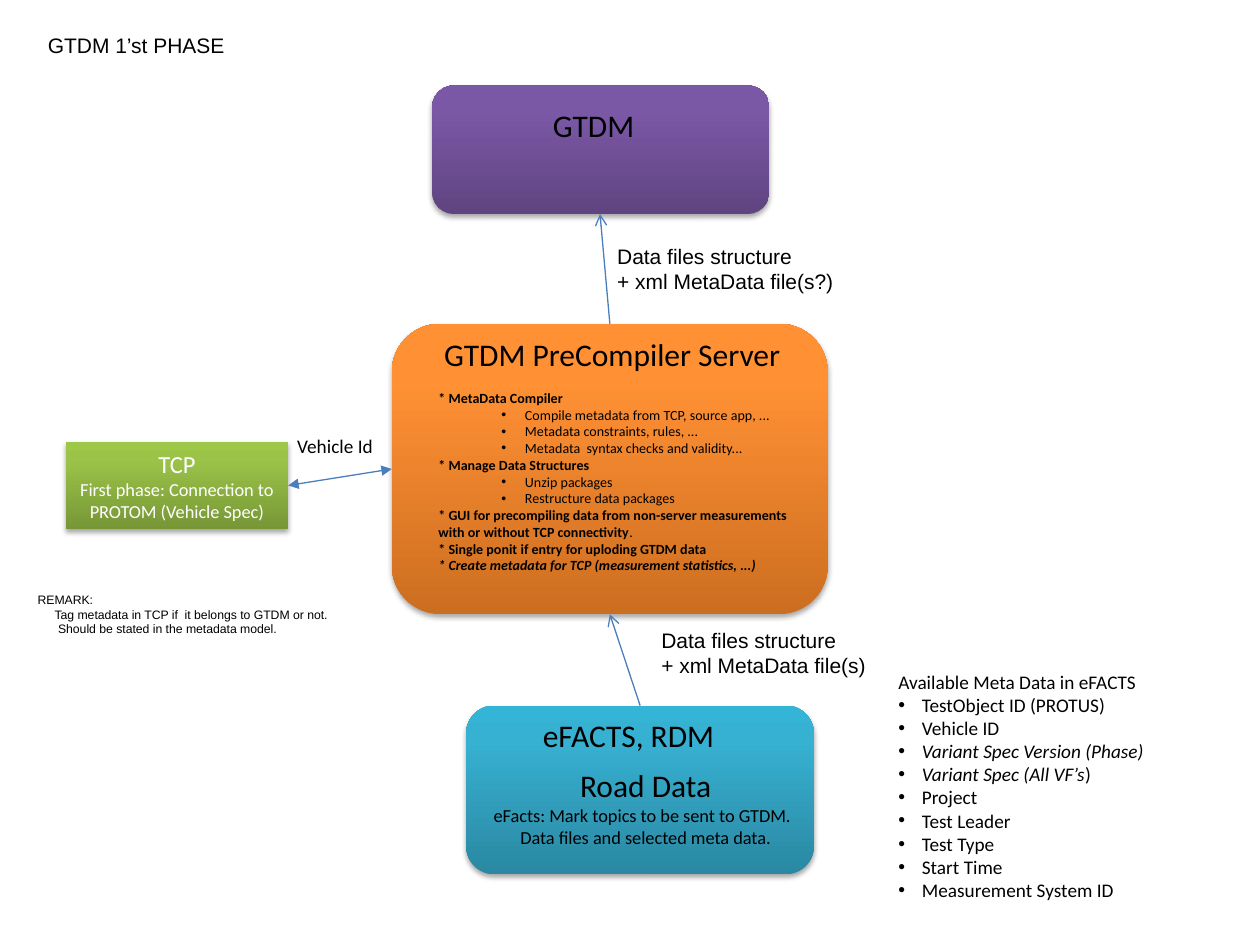
from lxml import etree
from pptx import Presentation
from pptx.dml.color import RGBColor
from pptx.enum.shapes import MSO_CONNECTOR, MSO_SHAPE
from pptx.enum.text import MSO_ANCHOR, MSO_AUTO_SIZE, PP_ALIGN
from pptx.oxml import parse_xml
from pptx.oxml.ns import qn
from pptx.util import Pt

RECT, ROUND = MSO_SHAPE.RECTANGLE, MSO_SHAPE.ROUNDED_RECTANGLE
STRAIGHT = MSO_CONNECTOR.STRAIGHT
LEFT, MID = PP_ALIGN.LEFT, PP_ALIGN.CENTER
NS = 'xmlns:a="http://schemas.openxmlformats.org/drawingml/2006/main"'

# Paragraph kinds: alignment, left margin, first-line indent, bullet
KINDS = {
    "left": (LEFT, 0, 0, False),
    "mid": (MID, 0, 0, False),
    "item": (LEFT, 13.5, -13.5, True),
    "sub": (LEFT, 49.5, -13.5, True),
    "note": (LEFT, 9.7, 0, False),
    "deep": (LEFT, 11.7, 0, False),
}


def write(frame, face, hue, paras):
    """Fill a frame from (kind, size, (text, style), ...); style has b and i."""
    for n, (kind, size, *runs) in enumerate(paras):
        para = frame.paragraphs[0] if n == 0 else frame.add_paragraph()
        align, left, first, dot = KINDS[kind]
        para.alignment = align
        if left:
            props = para._p.get_or_add_pPr()
            props.set("marL", str(Pt(left)))
            props.set("indent", str(Pt(first)))
            if dot:
                etree.SubElement(props, qn("a:buFont")).set("typeface", "Arial")
                etree.SubElement(props, qn("a:buChar")).set("char", "•")
        for text, style in runs:
            run = para.add_run()
            run.text = text
            font = run.font
            font.name, font.size = face, Pt(size)
            font.bold, font.italic = "b" in style, "i" in style
            font.color.rgb = RGBColor.from_string(hue)


deck = Presentation()
deck.slide_width, deck.slide_height = Pt(720), Pt(540)
slide = deck.slides.add_slide(deck.slide_layouts[6])
shapes = slide.shapes

# System boxes: form, place, gradient from bottom to top
boxes = {
    "road": (ROUND, (266.4, 403.2, 198.7, 96.5), ("2A88A2", "37B1D2", "34B4D6")),
    "server": (ROUND, (223.9, 185, 249.1, 166), ("CC6E20", "FF9034", "FF9136")),
    "tcp": (RECT, (37.6, 252.6, 127.1, 49.6), ("779737", "9BC348", "9DC746")),
    "gtdm": (ROUND, (247, 48.8, 192.6, 73.5), ("5F4480", "7B58A6", "7C57A8")),
}
made = {}
for name, (form, place, hues) in boxes.items():
    box = made[name] = shapes.add_shape(form, *map(Pt, place))
    box.line.fill.background()
    stops = "".join(
        f'<a:gs pos="{pos}000"><a:srgbClr val="{hue}"/></a:gs>'
        for pos, hue in zip((0, 80, 100), hues))
    props = box._element.spPr
    props.find(qn("a:ln")).addprevious(parse_xml(
        f'<a:gradFill {NS} rotWithShape="1"><a:gsLst>{stops}</a:gsLst>'
        '<a:lin ang="16200000" scaled="0"/></a:gradFill>'))
    props.append(parse_xml(
        f'<a:effectLst {NS}><a:outerShdw blurRad="{Pt(3.1)}" dist="{Pt(1.8)}" '
        'dir="5400000" rotWithShape="0"><a:srgbClr val="000000">'
        '<a:alpha val="35000"/></a:srgbClr></a:outerShdw></a:effectLst>'))

frame = made["tcp"].text_frame
frame.word_wrap = False
frame.vertical_anchor = MSO_ANCHOR.MIDDLE
write(frame, "Calibri", "FFFFFF", [
    ("mid", 14, ("TCP", "")),
    ("mid", 10.5, ("First phase: Connection to", "")),
    ("mid", 10.5, ("PROTOM (Vehicle Spec)", "")),
])

# Data flows: start, end, arrowheads
flows = [
    ((164.7, 277.4), (223.9, 268), {"headEnd": "triangle", "tailEnd": "triangle"}),
    ((365.8, 403.2), (348.5, 351), {"tailEnd": "arrow"}),
    ((348.5, 185), (342.9, 122.3), {"tailEnd": "arrow"}),
]
for start, end, heads in flows:
    flow = shapes.add_connector(STRAIGHT, *map(Pt, start + end))
    flow.line.width = Pt(0.75)
    flow.line.color.rgb = RGBColor.from_string("4B7EBC")
    for tag, head in heads.items():
        etree.SubElement(flow.line._get_or_add_ln(), qn("a:" + tag)).set("type", head)
    etree.SubElement(flow._element.spPr, qn("a:effectLst"))

# Labels: place, typeface, paragraphs
facts = ["TestObject ID (PROTUS)", "Vehicle ID", "Variant Spec Version (Phase)",
         "Variant Spec (All VF’s", "Project", "Test Leader", "Test Type",
         "Start Time", "Measurement System ID"]
meta = [("left", 11, ("Available Meta Data in eFACTS", ""))]
for fact in facts:
    style = "i" if fact.startswith("Variant") else ""
    rest = [(")", "")] if fact.endswith("VF’s") else []
    meta.append(("item", 11, (fact, style), *rest))

tasks = [
    ("left", 8, ("* MetaData Compiler", "b")),
    ("sub", 8, ("Compile metadata from TCP, source app, ...", "")),
    ("sub", 8, ("Metadata constraints, rules, ...", "")),
    ("sub", 8, ("Metadata  syntax checks and validity...", "")),
    ("left", 8, ("* Manage Data Structures", "b")),
    ("sub", 8, ("Unzip packages", "")),
    ("sub", 8, ("Restructure data packages", "")),
    ("left", 8, ("* GUI for precompiling data from non-server measurements", "b")),
    ("left", 8, ("with or without TCP connectivity", "b"), (".", "")),
    ("left", 8, ("* Single ponit if entry for uploding GTDM data", "b")),
    ("left", 8, ("* Create metadata for TCP (measurement statistics, ...)", "bi")),
]
labels = [
    ((303.1, 405.4, 113.8, 28.8), "Calibri", [("left", 18, ("eFACTS, RDM", ""))]),
    ((275, 434.2, 187.9, 54.7), "Calibri", [
        ("mid", 18, ("Road Data", "")),
        ("left", 10.5, ("eFacts: Mark topics to be sent to GTDM.", "")),
        ("mid", 10.5, ("Data files and selected meta data.", ""))]),
    ((506.2, 379.4, 157, 154.1), "Calibri", meta),
    ((241.9, 187.9, 216, 28.8), "Calibri",
     [("mid", 18, ("GTDM PreCompiler Server", ""))]),
    ((308.9, 56.9, 61.2, 28.8), "Calibri", [("left", 18, ("GTDM", ""))]),
    ((345.6, 135.4, 139, 36), "Arial", [
        ("left", 12, ("Data files structure", "")),
        ("left", 12, ("+ xml MetaData file(s?)", ""))]),
    ((370.8, 355, 132.5, 36), "Arial", [
        ("left", 12, ("Data files structure", "")),
        ("left", 12, ("+ xml MetaData file(s)", ""))]),
    ((243.4, 218.9, 215.3, 113.8), "Calibri", tasks),
    ((162.7, 244.8, 58.3, 20.9), "Calibri", [("left", 11, ("Vehicle Id", ""))]),
    ((14.4, 334.8, 188.6, 32.4), "Arial", [
        ("left", 7, ("REMARK:", "")),
        ("note", 7, ("Tag metadata in TCP if  it belongs to GTDM or not.", "")),
        ("deep", 7, ("Should be stated in the metadata model.", ""))]),
    ((20.2, 15.1, 116.6, 21.6), "Arial", [("left", 12, ("GTDM 1’st PHASE", ""))]),
]
for place, face, paras in labels:
    frame = shapes.add_textbox(*map(Pt, place)).text_frame
    frame.word_wrap = False
    frame.auto_size = MSO_AUTO_SIZE.SHAPE_TO_FIT_TEXT
    write(frame, face, "000000", paras)

deck.save("out.pptx")
